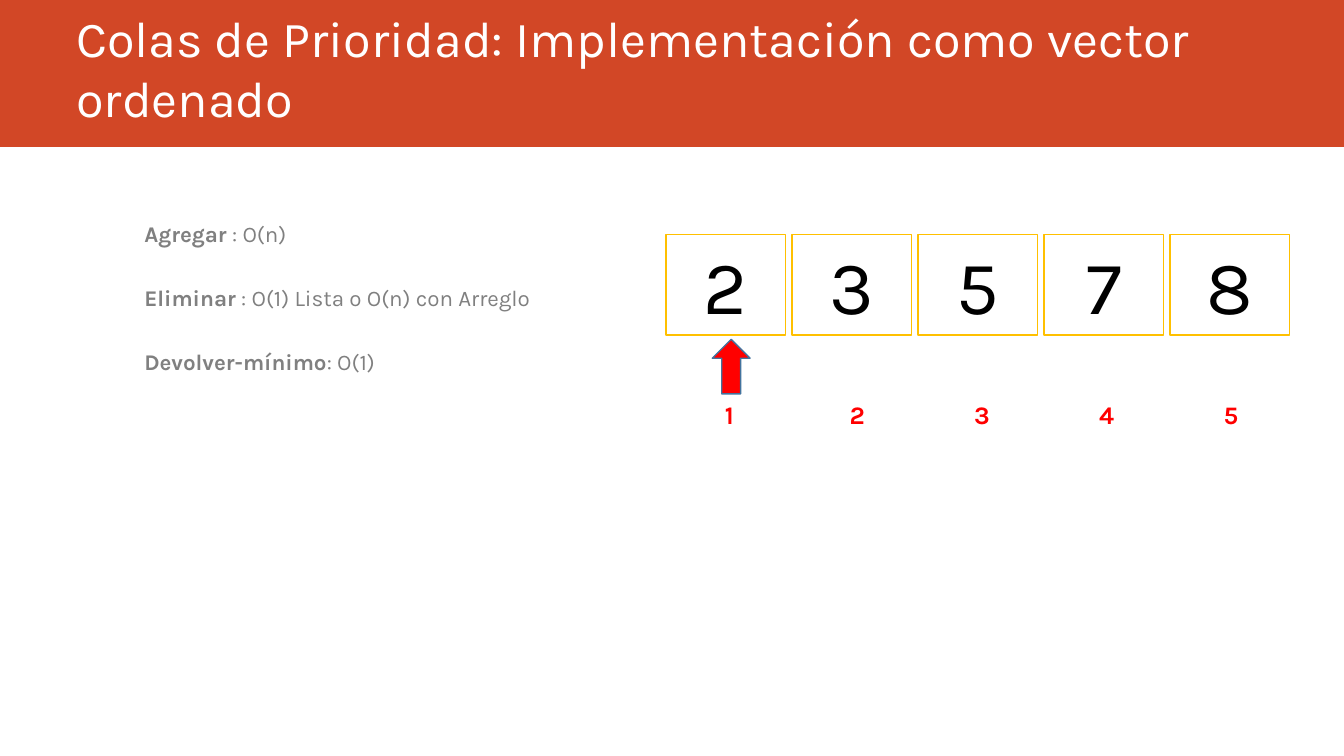
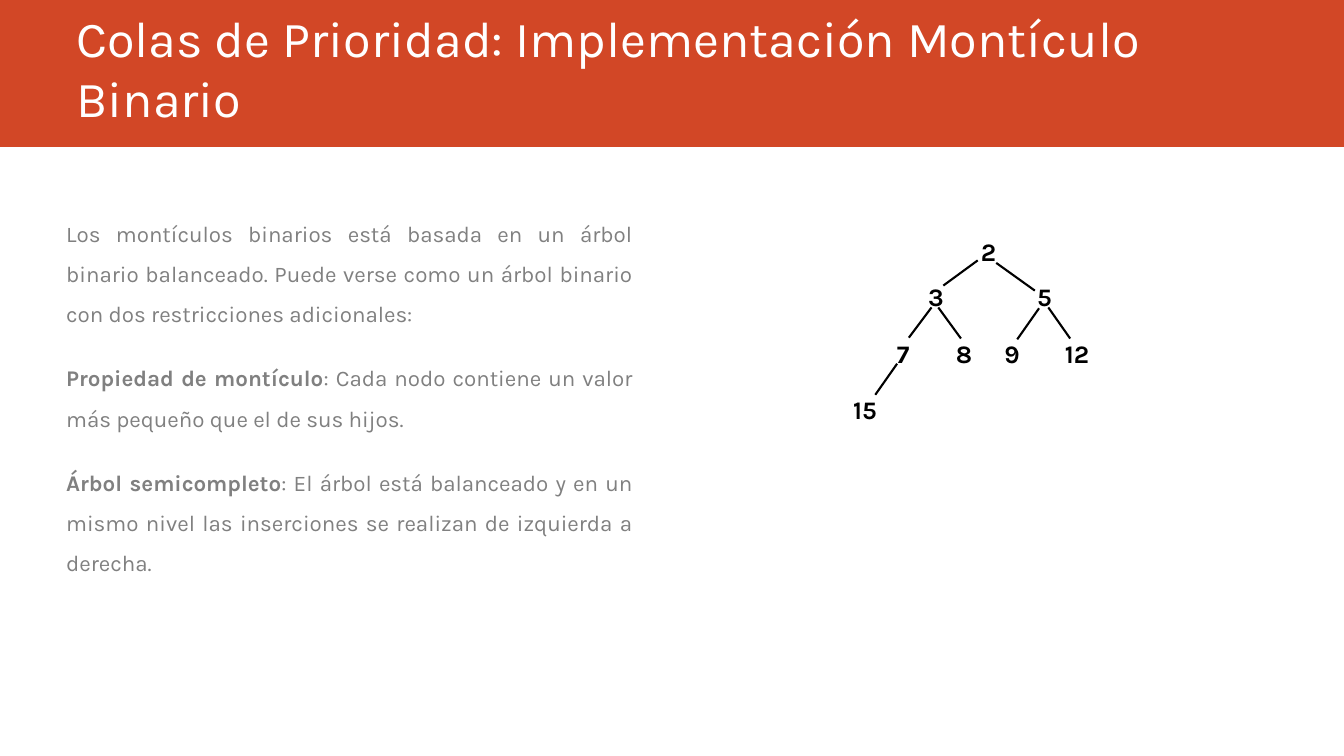
import pptx
import pptx.util
import pptx.dml.color
import pptx.enum.shapes
import pptx.enum.text
import pptx.oxml.ns
import lxml.etree

SHAPES = pptx.enum.shapes.MSO_SHAPE
ALIGN = pptx.enum.text.PP_ALIGN
ANCHOR = pptx.enum.text.MSO_ANCHOR


class Deck:
    """Draws slides on a grid of 160 columns by 90 rows in one shared style."""

    COLORS = {
        "band": "D24726", "title": "FFFFFF", "body": "808080",
        "cell": "FFFFFF", "cell_line": "FFC000", "ink": "000000",
        "mark": "FF0000", "mark_line": "43739E",
    }
    FONT = "Karla"
    COLUMNS, ROWS = 160, 90

    def __init__(self):
        self.prs = pptx.Presentation()
        self.prs.slide_width = pptx.util.Inches(13.33)
        self.prs.slide_height = pptx.util.Inches(7.5)
        self.slide = None

    def color(self, name):
        return pptx.dml.color.RGBColor.from_string(self.COLORS[name])

    def grid(self, *lengths):
        units = (self.prs.slide_width / self.COLUMNS, self.prs.slide_height / self.ROWS)
        return [round(length * units[i % 2]) for i, length in enumerate(lengths)]

    def style(self, run, size, color, bold=False):
        run.font.name = self.FONT
        run.font.size = pptx.util.Pt(size)
        run.font.bold = bold
        run.font.color.rgb = self.color(color)

    def start(self, title):
        self.slide = self.prs.slides.add_slide(self.prs.slide_layouts[6])
        self.shape(SHAPES.RECTANGLE, (0, 0, self.COLUMNS, 17.5), "band")
        frame = self.frame((7.9, 0, 141.1, 15.8))
        frame.vertical_anchor = ANCHOR.BOTTOM
        frame.text = title
        self.style(frame.paragraphs[0].runs[0], 36, "title")

    def frame(self, area):
        frame = self.slide.shapes.add_textbox(*self.grid(*area)).text_frame
        frame.word_wrap = True
        return frame

    def shape(self, preset, area, fill, line=None):
        shape = self.slide.shapes.add_shape(preset, *self.grid(*area))
        shape.shadow.inherit = False
        shape.fill.solid()
        shape.fill.fore_color.rgb = self.color(fill)
        if line:
            shape.line.color.rgb = self.color(line)
            shape.line.width = pptx.util.Pt(1)
        else:
            shape.line.fill.background()
        return shape

    def cell(self, value, area):
        frame = self.shape(SHAPES.RECTANGLE, area, "cell", "cell_line").text_frame
        frame.vertical_anchor = ANCHOR.MIDDLE
        frame.text = value
        frame.paragraphs[0].alignment = ALIGN.CENTER
        self.style(frame.paragraphs[0].runs[0], 54, "ink")

    def label(self, text, left, top, color):
        frame = self.frame((left, top, 2.2 + 2 * len(text), 4.8))
        frame.margin_right = 0
        frame.text = text
        self.style(frame.paragraphs[0].runs[0], 18, color, True)

    def body(self, area, entries):
        frame = self.frame(area)
        for i, (term, text) in enumerate(entries):
            paragraph = frame.add_paragraph() if i else frame.paragraphs[0]
            paragraph.alignment = ALIGN.JUSTIFY
            paragraph.line_spacing = 1.5
            paragraph.space_before = pptx.util.Pt(5 if i else 0)
            paragraph.space_after = pptx.util.Pt(12)
            paragraph.text = term or text
            self.style(paragraph.runs[0], 16, "body", bool(term))
            if term:
                rest = paragraph.add_run()
                rest.text = text
                self.style(rest, 16, "body")

    def edge(self, start, end):
        edge = self.slide.shapes.add_connector(
            pptx.enum.shapes.MSO_CONNECTOR.STRAIGHT, *self.grid(*start, *end))
        edge.line.color.rgb = self.color("ink")
        edge.line.width = pptx.util.Pt(1.5)
        lxml.etree.SubElement(edge._element.spPr, pptx.oxml.ns.qn("a:effectLst"))


def sorted_vector(deck):
    deck.start("Colas de Prioridad: Implementación como vector ordenado")
    deck.body((16, 24, 60.5, 22.8), [
        ("Agregar", " : O(n)"),
        ("Eliminar", " : O(1) Lista o O(n) con Arreglo"),
        ("Devolver-mínimo", ": O(1)"),
    ])
    for i, value in enumerate("23578"):
        deck.cell(value, (79.3 + 15 * i, 27.9, 14.2, 12))
        deck.label(str(i + 1), 85.1 + 14.85 * i, 46.9, "mark")
    deck.shape(SHAPES.UP_ARROW, (84.8, 40.4, 4.5, 6.5), "mark", "mark_line")


def binary_heap(deck):
    deck.start("Colas de Prioridad: Implementación Montículo Binario")
    deck.body((6.7, 24, 69.8, 57.1), [
        ("", "Los montículos binarios está basada en un árbol binario balanceado. "
             "Puede verse como un árbol binario con dos restricciones adicionales:"),
        ("Propiedad de montículo",
         ": Cada nodo contiene un valor más pequeño que el de sus hijos."),
        ("Árbol semicompleto",
         ": El árbol está balanceado y en un mismo nivel las inserciones "
         "se realizan de izquierda a derecha."),
    ])
    levels = [
        (27.5, [("2", 115.6)]),
        (32.9, [("3", 109.3), ("5", 122.3)]),
        (39.7, [("7", 105.6), ("8", 112.6), ("9", 118.4), ("12", 125.6)]),
        (46.4, [("15", 100.4)]),
    ]
    for top, nodes in levels:
        for value, left in nodes:
            deck.label(value, left, top, "ink")
    edges = [
        ((116.4, 31), (112.3, 34)), ((118.6, 31.3), (123.2, 34.6)),
        ((110.9, 36.6), (108.2, 40.2)), ((111.7, 36.6), (114.4, 40.3)),
        ((123.7, 36.7), (121.1, 40.4)), ((124.8, 36.6), (127.4, 40.3)),
        ((106.8, 43.3), (104.2, 47)),
    ]
    for parent, child in edges:
        deck.edge(parent, child)


def main():
    deck = Deck()
    sorted_vector(deck)
    binary_heap(deck)
    deck.prs.save("out.pptx")


if __name__ == "__main__":
    main()
